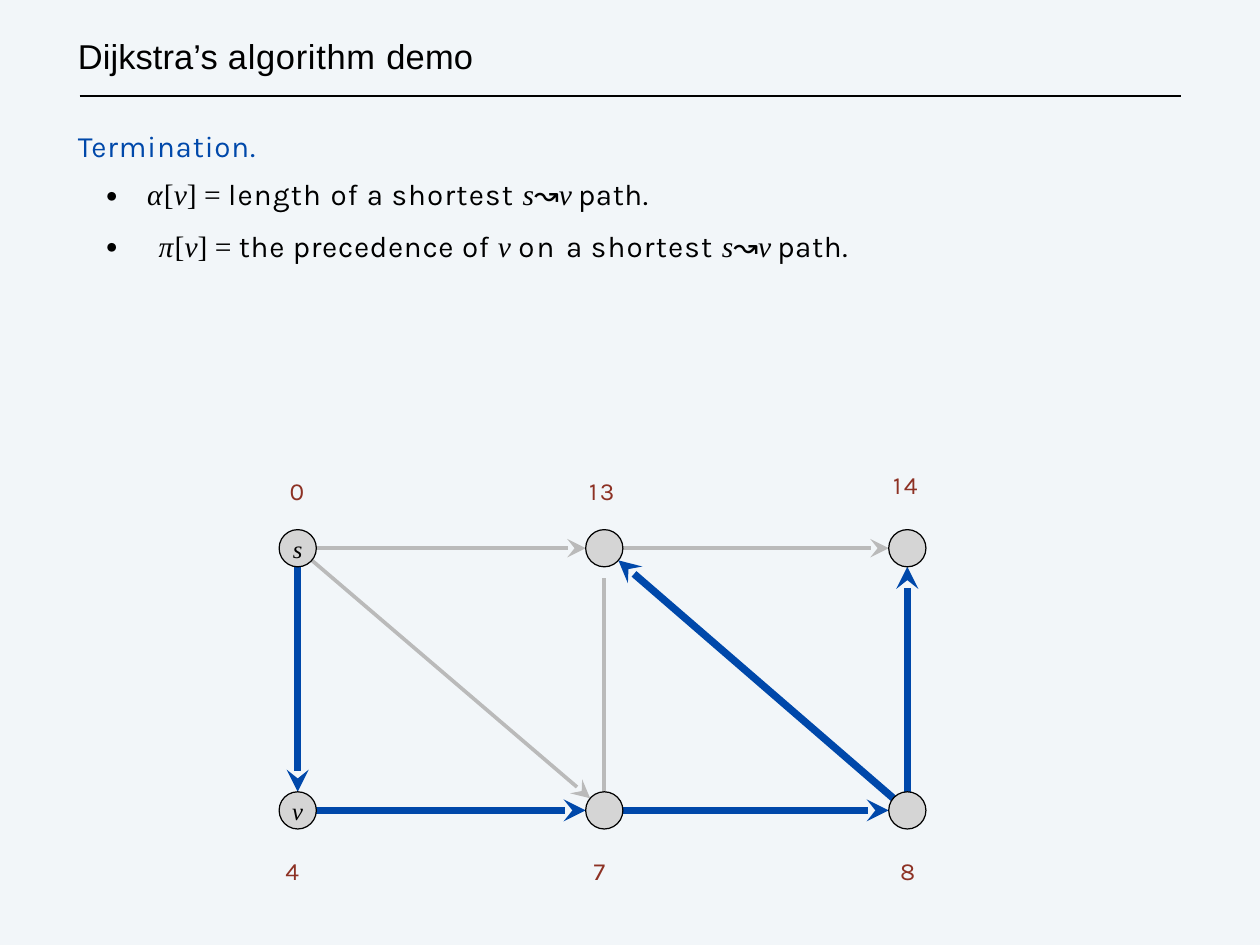
"""Build the closing page of a shortest-path demo: results in words and the final tree."""
import math
from dataclasses import dataclass

import pptx
import pptx.dml.color
import pptx.enum.shapes
import pptx.enum.text
import pptx.oxml.ns
import pptx.shapes.autoshape
import pptx.slide
import pptx.text.text
import pptx.util
from lxml import etree

Inches = pptx.util.Inches
Pt = pptx.util.Pt
qn = pptx.oxml.ns.qn


@dataclass(frozen=True)
class Theme:
    """Colours, fonts and type sizes of the page."""
    paper: str = "F2F6F9"
    ink: str = "000000"
    tree: str = "0048AA"
    unused: str = "BABABA"
    node: str = "D5D5D5"
    distance: str = "8D3124"
    heading: str = "Arial"
    body: str = "Karla"
    math: str = "Times New Roman"
    symbol: str = "DejaVu Sans"
    bullet: str = "Noto Sans CJK JP"
    title_size: float = 28
    body_size: float = 24
    label_size: float = 20


THEME = Theme()


@dataclass(frozen=True)
class Span:
    """A run of text with one look."""
    text: str
    face: str = THEME.body
    spacing: float = 0
    italic: bool = False
    size: float = THEME.body_size
    color: str = THEME.ink


@dataclass(frozen=True)
class Line:
    """A paragraph with an exact line height and an optional bullet."""
    spans: tuple[Span, ...]
    height: float | None = None
    bullet_indent: float = 0


@dataclass(frozen=True)
class Node:
    """A graph node with its letter and its distance label."""
    x: float
    y: float
    distance: str
    label_left: float
    label_top: float
    letter: str = ""


@dataclass(frozen=True)
class Edge:
    """An edge between two nodes, by key."""
    start: str
    end: str
    in_tree: bool = False
    arrow: bool = True
    end_gap: float = 0


BULLET_LEFT = 0.15
RADIUS = 0.21
LEFT, MIDDLE, RIGHT = 3.36, 6.82, 10.24
TOP, BOTTOM = 6.19, 9.15

NODES = {
    "s": Node(LEFT, TOP, "0", 3.27, 5.37, "s"),
    "top": Node(MIDDLE, TOP, "13", 6.65, 5.37),
    "corner": Node(RIGHT, TOP, "14", 10.08, 5.31),
    "v": Node(LEFT, BOTTOM, "4", 3.22, 9.66, "v"),
    "bottom": Node(MIDDLE, BOTTOM, "7", 6.70, 9.66),
    "end": Node(RIGHT, BOTTOM, "8", 10.16, 9.66),
}
EDGES = (
    Edge("s", "top"),
    Edge("bottom", "top", arrow=False, end_gap=0.13),
    Edge("top", "corner"),
    Edge("s", "bottom"),
    Edge("end", "top", in_tree=True),
    Edge("end", "corner", in_tree=True),
    Edge("bottom", "end", in_tree=True),
    Edge("v", "bottom", in_tree=True),
    Edge("s", "v", in_tree=True),
)


def roman(text: str, spacing: float = 0) -> Span:
    """Return an upright formula span."""
    return Span(text, THEME.math, spacing)


def variable(text: str, spacing: float = 0) -> Span:
    """Return an italic formula span."""
    return Span(text, THEME.math, spacing, italic=True)


SHORTEST_PATH = (
    Span("a ", spacing=0.6), Span("shortest ", spacing=1), variable("s", -1),
    Span("↝", THEME.symbol, -1), variable("v ", -1), Span("path.", spacing=0.5),
)
TITLE = (Line((Span("Dijkstra’s ", THEME.heading, 0.1, size=THEME.title_size),
               Span("algorithm ", THEME.heading, 0.6, size=THEME.title_size),
               Span("demo", THEME.heading, 0.2, size=THEME.title_size))),)
BODY = (
    Line((Span("Termination.", spacing=0.7, color=THEME.tree),), 26.1),
    Line((variable("α", 1.1), roman("["), variable("v"), roman("] = "),
          Span("length ", spacing=1), Span("of ", spacing=0.8), *SHORTEST_PATH), 39.5, 0.78),
    Line((variable("π", 1.1), roman("["), variable("v"), roman("] = "),
          Span("the precedence of ", spacing=0.6), variable("v "),
          Span("on ", spacing=1.8), *SHORTEST_PATH), 42.1, 0.91),
)


def rgb(color: str) -> pptx.dml.color.RGBColor:
    """Return a colour from its hex digits."""
    return pptx.dml.color.RGBColor.from_string(color)


def add_span(para: pptx.text.text._Paragraph, look: Span) -> None:
    """Add one run to a paragraph."""
    span = para.add_run()
    span.text = look.text
    span.font.size = Pt(look.size)
    span.font.italic = look.italic
    span.font.color.rgb = rgb(look.color)
    span.font.name = look.face
    properties = span._r.get_or_add_rPr()
    properties.set("spc", str(round(look.spacing * 100)))
    for script in ("a:ea", "a:cs"):
        etree.SubElement(properties, qn(script), typeface=look.face)


def add_bullet(para: pptx.text.text._Paragraph, indent: float) -> None:
    """Give a paragraph a hanging dot."""
    properties = para._p.get_or_add_pPr()
    properties.set("marL", str(Inches(indent)))
    properties.set("indent", str(Inches(BULLET_LEFT - indent)))
    etree.SubElement(properties, qn("a:buSzPct"), val="140000")
    etree.SubElement(properties, qn("a:buFont"), typeface=THEME.bullet)
    etree.SubElement(properties, qn("a:buChar"), char="・")


def add_text(page: pptx.slide.Slide, left: float, top: float, width: float,
             height: float, lines: tuple[Line, ...]) -> None:
    """Add a text box without margins."""
    box = page.shapes.add_textbox(Inches(left), Inches(top), Inches(width), Inches(height))
    frame = box.text_frame
    frame.word_wrap = True
    frame.margin_left = frame.margin_right = frame.margin_top = frame.margin_bottom = 0
    for index, line in enumerate(lines):
        para = frame.add_paragraph() if index else frame.paragraphs[0]
        if line.height:
            para.line_spacing = Pt(line.height)
        if line.bullet_indent:
            add_bullet(para, line.bullet_indent)
        for look in line.spans:
            add_span(para, look)


def add_line(page: pptx.slide.Slide, start: tuple[float, float], end: tuple[float, float],
             color: str, width: float, head: str = "") -> None:
    """Add a straight line, with an arrowhead of the given size if any."""
    line = page.shapes.add_connector(pptx.enum.shapes.MSO_CONNECTOR.STRAIGHT,
                                     *map(Inches, start), *map(Inches, end))
    line.line.color.rgb = rgb(color)
    line.line.width = Pt(width)
    if head:
        etree.SubElement(line.line._get_or_add_ln(), qn("a:tailEnd"),
                         type="stealth", w=head, len=head)
    etree.SubElement(line._element.spPr, qn("a:effectLst"))


def add_edge(page: pptx.slide.Slide, edge: Edge) -> None:
    """Draw an edge from rim to rim of its nodes."""
    start, end = NODES[edge.start], NODES[edge.end]
    angle = math.atan2(end.y - start.y, end.x - start.x)
    reach = RADIUS + edge.end_gap
    color, width, head = (THEME.tree, 6, "med") if edge.in_tree else (THEME.unused, 3, "lg")
    add_line(page, (start.x + RADIUS * math.cos(angle), start.y + RADIUS * math.sin(angle)),
             (end.x - reach * math.cos(angle), end.y - reach * math.sin(angle)),
             color, width, head if edge.arrow else "")


def add_node(page: pptx.slide.Slide, node: Node) -> None:
    """Draw a node with its letter and distance."""
    circle = page.shapes.add_shape(pptx.enum.shapes.MSO_SHAPE.OVAL, Inches(node.x - RADIUS),
                                   Inches(node.y - RADIUS), Inches(2 * RADIUS), Inches(2 * RADIUS))
    circle.shadow.inherit = False
    circle.fill.solid()
    circle.fill.fore_color.rgb = rgb(THEME.node)
    circle.line.color.rgb = rgb(THEME.ink)
    circle.line.width = Pt(1)
    if node.letter:
        frame = circle.text_frame
        frame.margin_left = frame.margin_right = frame.margin_top = frame.margin_bottom = 0
        frame.word_wrap = False
        frame.vertical_anchor = pptx.enum.text.MSO_ANCHOR.MIDDLE
        para = frame.paragraphs[0]
        para.alignment = pptx.enum.text.PP_ALIGN.CENTER
        add_span(para, Span(node.letter, THEME.math, italic=True, size=THEME.label_size))
    label = Span(node.distance, spacing=2.1, size=THEME.label_size, color=THEME.distance)
    add_text(page, node.label_left, node.label_top, 0.4, 0.36, (Line((label,)),))


def main() -> None:
    """Build and save the deck."""
    deck = pptx.Presentation()
    deck.slide_width, deck.slide_height = Inches(14.22), Inches(10.67)
    page = deck.slides.add_slide(deck.slide_layouts[6])
    page.background.fill.solid()
    page.background.fill.fore_color.rgb = rgb(THEME.paper)
    add_line(page, (0.9, 1.08), (13.33, 1.08), THEME.ink, 1.5)
    add_text(page, 0.88, 0.4, 9.1, 0.49, TITLE)
    add_text(page, 0.88, 1.48, 11.99, 1.51, BODY)
    for edge in EDGES:
        add_edge(page, edge)
    for node in NODES.values():
        add_node(page, node)
    deck.save("out.pptx")


if __name__ == "__main__":
    main()
